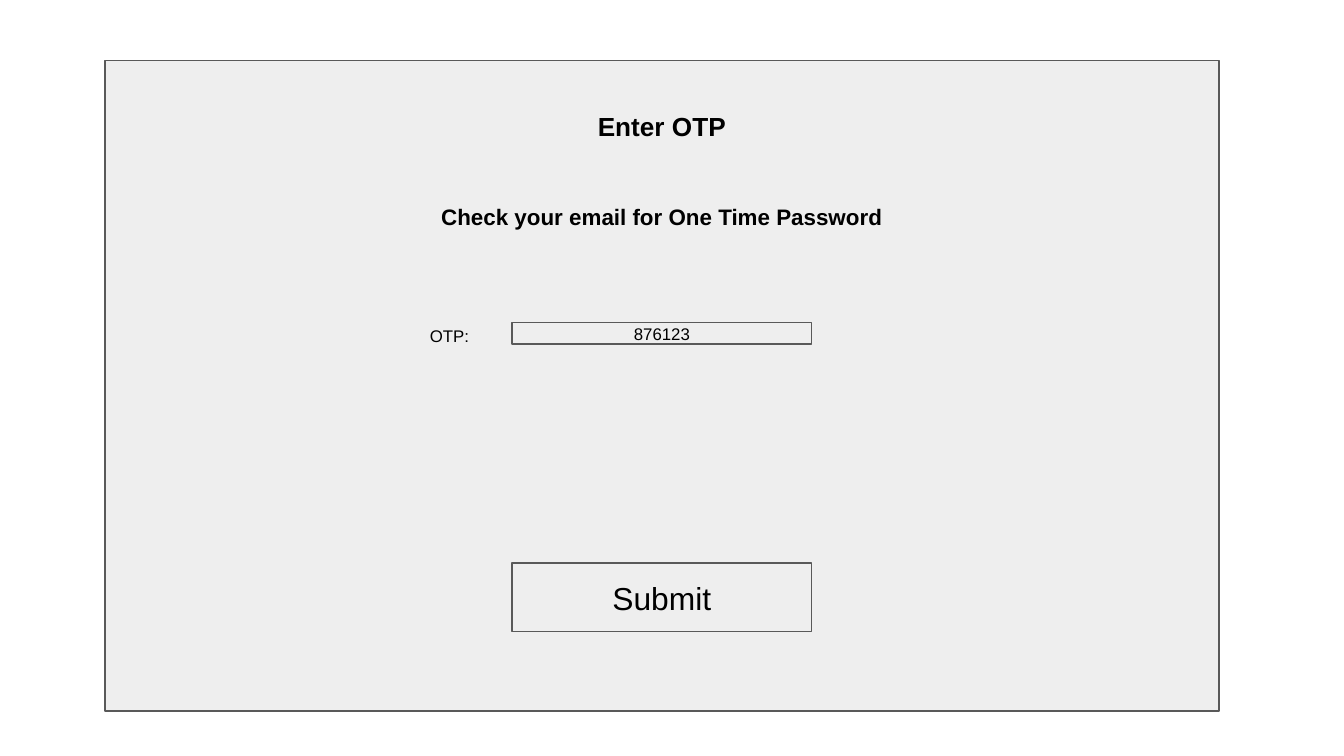
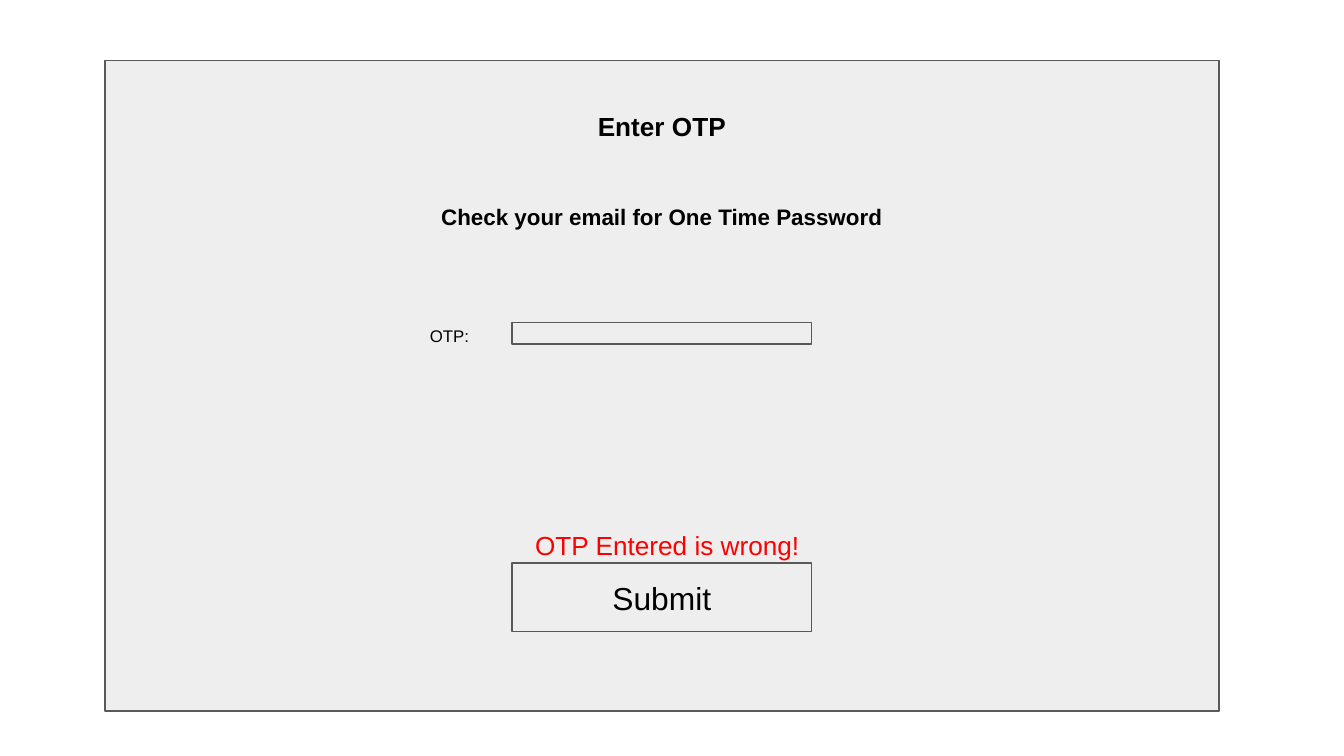
from dataclasses import dataclass

from pptx import Presentation
from pptx.dml.color import RGBColor
from pptx.enum.shapes import MSO_SHAPE
from pptx.enum.text import MSO_ANCHOR, MSO_AUTO_SIZE, PP_ALIGN
from pptx.shapes.autoshape import Shape
from pptx.slide import Slide, SlideLayout
from pptx.util import Pt


@dataclass(frozen=True)
class Theme:
    font: str = "Arial"
    ink: RGBColor = RGBColor(0x00, 0x00, 0x00)
    surface: RGBColor = RGBColor(0xEE, 0xEE, 0xEE)
    outline: RGBColor = RGBColor(0x59, 0x59, 0x59)
    alert: RGBColor = RGBColor(0xFF, 0x00, 0x00)
    outline_width: float = 0.75
    inset: float = 7.2
    heading: int = 14
    subheading: int = 12
    field: int = 9
    button: int = 17


@dataclass(frozen=True)
class Area:
    left: float
    top: float
    width: float
    height: float


@dataclass(frozen=True)
class Label:
    text: str
    area: Area
    size: int
    bold: bool = False
    color: RGBColor = RGBColor(0x00, 0x00, 0x00)
    indent: float = 0


@dataclass(frozen=True)
class OtpScreen:
    code: str = ""
    error: str = ""


THEME = Theme()
CENTER = 354.6


def centered(top: float, width: float, height: float) -> Area:
    """Return an area centred on the axis of the form panel."""
    return Area(CENTER - width / 2, top, width, height)


PANEL = centered(32.4, 596.88, 348.48)
CONTROL_WIDTH = 160.56
FIELD = centered(172.8, CONTROL_WIDTH, 11.52)
BUTTON = centered(301.68, CONTROL_WIDTH, 36.72)
ERROR_AREA = Area(193.68, 276.48, 291.6, 32.4)

TITLE = Label("Enter OTP", centered(51.84, 183.6, 54.72), THEME.heading, bold=True)
CAPTIONS = (
    Label("Check your email for One Time Password",
          centered(101.52, 272.88, 23.76), THEME.subheading, bold=True),
    Label("OTP:", Area(186.48, 167.04, 82.08, 23.76), THEME.field, indent=26.6),
)
SCREENS = (OtpScreen(code="876123"), OtpScreen(error="OTP Entered is wrong!"))


def write(box: Shape, label: Label, anchor: MSO_ANCHOR = MSO_ANCHOR.TOP) -> None:
    frame = box.text_frame
    frame.word_wrap = True
    frame.auto_size = MSO_AUTO_SIZE.NONE
    frame.vertical_anchor = anchor
    frame.margin_left = frame.margin_right = Pt(THEME.inset)
    frame.margin_top = frame.margin_bottom = Pt(THEME.inset)
    para = frame.paragraphs[0]
    para.alignment = PP_ALIGN.CENTER
    if label.indent:
        properties = para._p.get_or_add_pPr()
        properties.set("marL", "0")
        properties.set("indent", str(Pt(label.indent)))
    span = para.add_run()
    span.text = label.text
    span.font.name = THEME.font
    span.font.size = Pt(label.size)
    span.font.bold = label.bold
    span.font.color.rgb = label.color


def add_box(page: Slide, area: Area) -> Shape:
    box = page.shapes.add_shape(MSO_SHAPE.RECTANGLE, Pt(area.left), Pt(area.top),
                                Pt(area.width), Pt(area.height))
    box.shadow.inherit = False
    box.fill.solid()
    box.fill.fore_color.rgb = THEME.surface
    box.line.color.rgb = THEME.outline
    box.line.width = Pt(THEME.outline_width)
    return box


def add_control(page: Slide, text: str, area: Area, size: int) -> None:
    box = add_box(page, area)
    if text:
        write(box, Label(text, area, size), MSO_ANCHOR.MIDDLE)


def add_caption(page: Slide, label: Label) -> None:
    area = label.area
    box = page.shapes.add_textbox(Pt(area.left), Pt(area.top),
                                  Pt(area.width), Pt(area.height))
    write(box, label)


def place_title(page: Slide, panel: Shape) -> None:
    """Fill the title placeholder and keep the panel behind it."""
    title = page.shapes.title
    area = TITLE.area
    title.left, title.top = Pt(area.left), Pt(area.top)
    title.width, title.height = Pt(area.width), Pt(area.height)
    write(title, TITLE)
    title.element.addprevious(panel.element)


def build_screen(deck: Presentation, layout: SlideLayout, screen: OtpScreen) -> None:
    page = deck.slides.add_slide(layout)
    place_title(page, add_box(page, PANEL))
    add_control(page, screen.code, FIELD, THEME.field)
    for caption in CAPTIONS:
        add_caption(page, caption)
    add_control(page, "Submit", BUTTON, THEME.button)
    if screen.error:
        add_caption(page, Label(screen.error, ERROR_AREA, THEME.heading,
                                color=THEME.alert, indent=36))


def main() -> None:
    deck = Presentation()
    deck.slide_width, deck.slide_height = Pt(720), Pt(405)
    title_only = deck.slide_layouts.get_by_name("Title Only")
    for screen in SCREENS:
        build_screen(deck, title_only, screen)
    deck.save("out.pptx")


if __name__ == "__main__":
    main()
